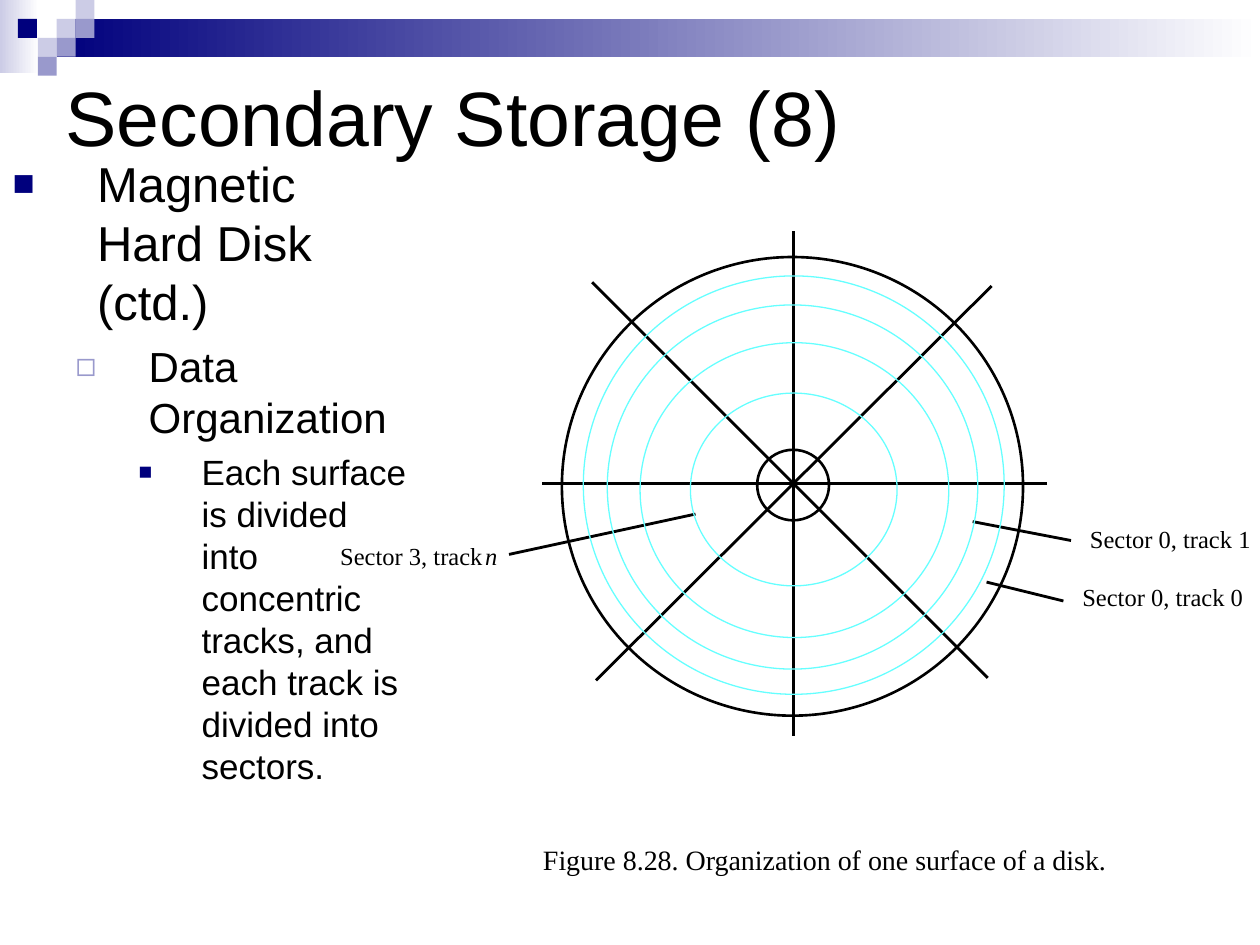
from lxml import etree
from pptx import Presentation
from pptx.dml.color import RGBColor
from pptx.enum.shapes import MSO_CONNECTOR, MSO_SHAPE
from pptx.enum.text import MSO_ANCHOR, MSO_AUTO_SIZE, PP_ALIGN
from pptx.oxml.ns import qn
from pptx.util import Inches, Pt

RECTANGLE, OVAL = MSO_SHAPE.RECTANGLE, MSO_SHAPE.OVAL
STRAIGHT = MSO_CONNECTOR.STRAIGHT
LEFT, TOP, MIDDLE = PP_ALIGN.LEFT, MSO_ANCHOR.TOP, MSO_ANCHOR.MIDDLE
NO_FIT, GROW = MSO_AUTO_SIZE.NONE, MSO_AUTO_SIZE.SHAPE_TO_FIT_TEXT

BLACK = RGBColor(0, 0, 0)
WHITE = RGBColor(255, 255, 255)
NAVY = RGBColor(0, 0, 0x7D)
LILAC = RGBColor(0x99, 0x99, 0xCC)
PALE = RGBColor(0xCC, 0xCC, 0xE6)
CYAN = RGBColor(0x66, 0xFF, 0xFF)
SANS, SERIF = "Arial", "Times New Roman"

TITLE = "Secondary Storage (8)"
# text, size, space before, margin, indent, bullet, bullet colour, bullet percent
OUTLINE = [
    ("Magnetic Hard Disk (ctd.)", 28, 7, 0.67, -0.67, "■", NAVY, 75),
    ("Data Organization", 24, 6, 1.08, -0.58, "◻", LILAC, 80),
    ("Each surface is divided into concentric tracks, and each track is "
     "divided into sectors.", 20, 5, 1.5, -0.5, "■", NAVY, 65),
]
LABELS = [
    ("Sector 0, track 0", (8.59, 4.62, 1.28, 0.23), 14, False),
    ("Sector 3, track", (2.7, 4.29, 1.15, 0.23), 14, False),
    ("n", (3.85, 4.29, 0.1, 0.23), 14, True),
    ("Figure 8.28. Organization of one surface of a disk.",
     (4.31, 6.69, 4.53, 0.27), 16, False),
    ("Sector 0, track 1", (8.65, 4.16, 1.28, 0.23), 14, False),
]
POINTERS = [(4.04, 4.4, 5.52, 4.08), (8.44, 4.77, 7.83, 4.62), (8.5, 4.29, 7.72, 4.14)]
SPOKES = [(6.3, 5.84, 6.3, 1.83), (8.31, 3.84, 4.3, 3.84),
          (4.73, 5.4, 7.87, 2.27), (4.7, 2.24, 7.84, 5.38)]
RINGS = [
    ((4.46, 2.04, 3.66, 3.64), BLACK, 1.5),
    ((4.63, 2.19, 3.34, 3.32), CYAN, 0.75),
    ((4.82, 2.42, 2.94, 2.89), CYAN, 0.75),
    ((5.08, 2.72, 2.45, 2.34), CYAN, 0.75),
    ((5.48, 3.12, 1.64, 1.53), CYAN, 0.75),
    ((6.01, 3.57, 0.57, 0.56), BLACK, 1.5),
]
BANDS = [((0, 0, 0.31, 0.58), PALE), ((0.45, 0.15, 9.55, 0.3), NAVY)]
TILE = 0.15
TILES = [(3, 1, PALE), (4, 0, PALE), (4, 1, LILAC), (2, 2, PALE),
         (0.95, 1, NAVY), (3, 2, LILAC), (2, 3, LILAC)]


def inches(values):
    """Convert numbers to lengths."""
    return [Inches(value) for value in values]


def add_plain_shape(slide, kind, place):
    """Add a preset shape without shadow."""
    shape = slide.shapes.add_shape(kind, *inches(place))
    shape.shadow.inherit = False
    return shape


def add_header(slide):
    """Draw the fading bands and the square tiles."""
    for place, color in BANDS:
        band = add_plain_shape(slide, RECTANGLE, place)
        band.line.fill.background()
        band.fill.gradient()
        band.fill.gradient_angle = 0
        for stop, shade, position in zip(band.fill.gradient_stops, (color, WHITE), (0, 1)):
            stop.color.rgb = shade
            stop.position = position
    for column, row, color in TILES:
        tile = add_plain_shape(slide, RECTANGLE, (column * TILE, row * TILE, TILE, TILE))
        tile.line.fill.background()
        tile.fill.solid()
        tile.fill.fore_color.rgb = color


def set_font(para, name, size, italic=False):
    """Set the font of a whole paragraph."""
    para.alignment = LEFT
    para.font.name = name
    para.font.size = Pt(size)
    para.font.italic = italic
    para.font.color.rgb = BLACK


def place_placeholder(box, place, anchor):
    """Move a placeholder and return its text frame."""
    box.left, box.top, box.width, box.height = inches(place)
    frame = box.text_frame
    frame.word_wrap = True
    frame.auto_size = NO_FIT
    frame.vertical_anchor = anchor
    return frame


def set_bullet(para, margin, indent, character, color, percent):
    """Give a paragraph a hanging coloured bullet."""
    properties = para._p.get_or_add_pPr()
    properties.set("marL", str(Inches(margin)))
    properties.set("indent", str(Inches(indent)))
    tint = etree.SubElement(properties, qn("a:buClr"))
    etree.SubElement(tint, qn("a:srgbClr"), val=str(color))
    etree.SubElement(properties, qn("a:buSzPct"), val=str(percent * 1000))
    etree.SubElement(properties, qn("a:buFont"), typeface=SANS)
    etree.SubElement(properties, qn("a:buChar"), char=character)


def add_outline(slide):
    """Fill the title and the bulleted list."""
    frame = place_placeholder(slide.shapes.title, (0.42, 0.5, 8.42, 0.83), MIDDLE)
    frame.text = TITLE
    set_font(frame.paragraphs[0], SANS, 44)
    frame = place_placeholder(slide.placeholders[1], (0, 1.17, 3.33, 6.08), TOP)
    frame.text = "\n".join(item[0] for item in OUTLINE)
    for level, (para, item) in enumerate(zip(frame.paragraphs, OUTLINE)):
        size, before, *bullet = item[1:]
        para.level = level
        para.space_before = Pt(before)
        set_bullet(para, *bullet)
        set_font(para, SANS, size)


def add_disk(slide):
    """Draw labels, pointers, sector lines and tracks."""
    for text, place, size, italic in LABELS:
        frame = slide.shapes.add_textbox(*inches(place)).text_frame
        frame.margin_left = frame.margin_right = frame.margin_top = frame.margin_bottom = 0
        frame.word_wrap = False
        frame.auto_size = GROW
        frame.text = text
        set_font(frame.paragraphs[0], SERIF, size, italic)
    for ends in POINTERS + SPOKES:
        line = slide.shapes.add_connector(STRAIGHT, *inches(ends))
        line.line.color.rgb = BLACK
        line.line.width = Pt(1.62)
        etree.SubElement(line._element.spPr, qn("a:effectLst"))
    for place, color, width in RINGS:
        ring = add_plain_shape(slide, OVAL, place)
        ring.fill.background()
        ring.line.color.rgb = color
        ring.line.width = Pt(width)


def main():
    """Build the slide about the surface of a disk."""
    deck = Presentation()
    deck.slide_width, deck.slide_height = inches((10, 7.5))
    slide = deck.slides.add_slide(deck.slide_layouts[1])
    add_header(slide)
    add_outline(slide)
    add_disk(slide)
    deck.save("out.pptx")


if __name__ == "__main__":
    main()
